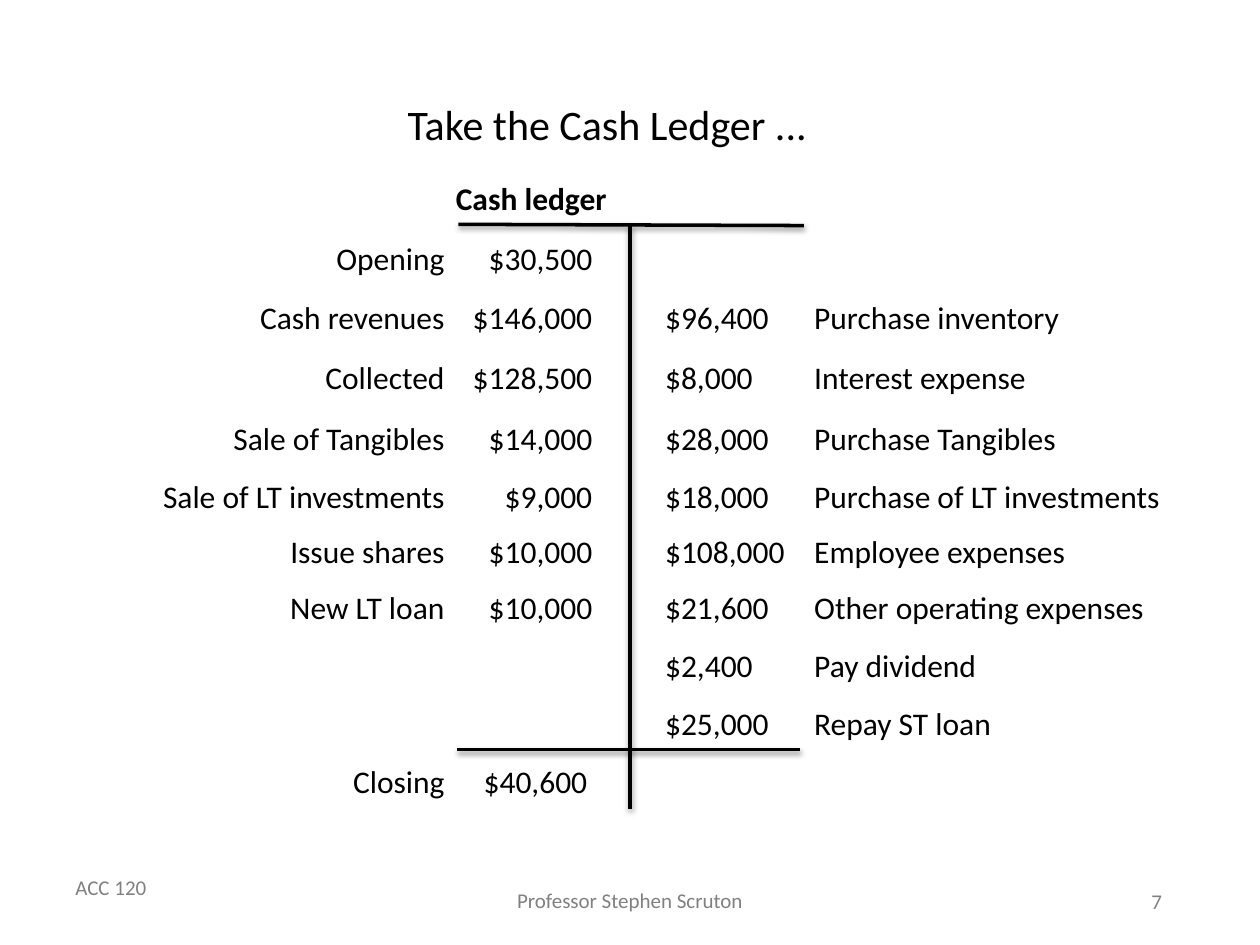
from dataclasses import dataclass

from lxml.etree import fromstring
from pptx import Presentation
from pptx.dml.color import RGBColor
from pptx.enum.shapes import MSO_CONNECTOR as Connector
from pptx.enum.text import MSO_ANCHOR as Anchor, PP_ALIGN as Align
from pptx.util import Pt

TITLE = "Take the Cash Ledger ..."
HEADING = "Cash ledger"

# Row tops; the debit and credit lists follow them from the stated row.
ROW_TOPS = [133, 167, 201, 236, 269, 300.3, 332.3, 365.5, 399, 432]
# Each entry: label, label width, amount.
DEBITS = [
    ("Opening", 77, "$30,500"),
    ("Cash revenues", 121.7, "$146,000"),
    ("Collected", 83.5, "$128,500"),
    ("Sale of Tangibles", 137.8, "$14,000"),
    ("Sale of LT investments", 179.2, "$9,000"),
    ("Issue shares", 104, "$10,000"),
    ("New LT loan", 105, "$10,000"),
]
CREDITS = [
    ("Purchase inventory", 157, "$96,400"),
    ("Interest expense", 137.5, "$8,000"),
    ("Purchase Tangibles", 156.2, "$28,000"),
    ("Purchase of LT investments", 216.7, "$18,000"),
    ("Employee expenses", 160, "$108,000"),
    ("Other operating expenses", 206, "$21,600"),
    ("Pay dividend", 108.7, "$2,400"),
    ("Repay ST loan", 117.4, "$25,000"),
]
CLOSING = ("Closing", 67.7, "$40,600")

# Ledger rules: start x, start y, end x, end y.
RULES = [
    (262, 128.2, 459.4, 128.9),
    (360, 128.9, 360, 462.2),
    (261.4, 428.4, 457.2, 428.4),
]
# Footer: text, left, top, width, height, alignment.
FOOTER = [
    ("ACC 120", 36, 496, 55.4, 21.8, Align.LEFT),
    ("Professor Stephen Scruton", 287.3, 503.2, 145.4, 21.8, Align.CENTER),
    ("7", 503.3, 500.4, 167.8, 28.8, Align.RIGHT),
]
DEBIT_LABEL_RIGHT, DEBIT_RIGHT, CLOSING_RIGHT = 261.2, 345.6, 342.7
CREDIT_LEFT, CREDIT_LABEL_LEFT = 373, 458.2
ROW_HEIGHT = 29


@dataclass(frozen=True)
class Theme:
    """Colours and type sizes of the slide."""
    font: str = "Calibri"
    ink: RGBColor = RGBColor(0, 0, 0)
    muted: RGBColor = RGBColor(0x80, 0x80, 0x80)
    title: int = 24
    body: int = 18
    footer: int = 12
    rule: int = 2


THEME = Theme()
SHADOW = (
    '<a:effectLst xmlns:a="http://schemas.openxmlformats.org/drawingml/2006/main">'
    '<a:outerShdw blurRad="39370" dist="20320" dir="5400000" rotWithShape="0">'
    '<a:srgbClr val="000000"><a:alpha val="38000"/></a:srgbClr>'
    '</a:outerShdw></a:effectLst>'
)


def write(frame, text, size, color=THEME.ink, align=Align.LEFT, bold=False):
    """Fill a text frame with one formatted paragraph."""
    frame.text = text
    paragraph = frame.paragraphs[0]
    paragraph.alignment = align
    font = paragraph.font
    font.name, font.size, font.bold = THEME.font, Pt(size), bold
    font.color.rgb = color


def add_text(slide, text, left, top, width, height=ROW_HEIGHT,
             size=THEME.body, **style):
    """Add a one-line text box and return its frame."""
    box = slide.shapes.add_textbox(Pt(left), Pt(top), Pt(width), Pt(height))
    box.text_frame.word_wrap = False
    write(box.text_frame, text, size, **style)
    return box.text_frame


def amount_width(amount):
    """Width of an amount, which grows evenly with its digits."""
    return 64.8 + 9.3 * (len(amount) - len("$9,000"))


def add_debit(slide, entry, top, amount_right=DEBIT_RIGHT):
    """Add a label and amount, right-aligned, left of the ledger's stem."""
    label, width, amount = entry
    for text, right, span in ((label, DEBIT_LABEL_RIGHT, width),
                              (amount, amount_right, amount_width(amount))):
        add_text(slide, text, right - span, top, span, align=Align.RIGHT)


def add_credit(slide, entry, top):
    """Add an amount and label, left-aligned, right of the ledger's stem."""
    label, width, amount = entry
    add_text(slide, amount, CREDIT_LEFT, top, amount_width(amount))
    add_text(slide, label, CREDIT_LABEL_LEFT, top, width)


def add_rule(slide, ends):
    """Add one shadowed ledger rule."""
    rule = slide.shapes.add_connector(Connector.STRAIGHT, *map(Pt, ends))
    rule.line.color.rgb = THEME.ink
    rule.line.width = Pt(THEME.rule)
    rule._element.spPr.append(fromstring(SHADOW))


def build():
    """Build and save the slide."""
    deck = Presentation()
    deck.slide_width, deck.slide_height = Pt(720), Pt(540)
    slide = deck.slides.add_slide(deck.slide_layouts[0])
    subtitle = slide.placeholders[1]._element
    subtitle.getparent().remove(subtitle)

    title = slide.shapes.title
    title.left, title.top, title.width, title.height = map(Pt, (41, 45.4, 612, 50.4))
    title.text_frame.vertical_anchor = Anchor.MIDDLE
    write(title.text_frame, TITLE, THEME.title, align=Align.CENTER)

    for text, left, top, width, height, align in FOOTER:
        frame = add_text(slide, text, left, top, width, height, THEME.footer,
                         color=THEME.muted, align=align)
        frame.vertical_anchor = Anchor.MIDDLE

    add_text(slide, HEADING, 253.4, 98.8, 101.5, bold=True)
    for entry, top in zip(DEBITS, ROW_TOPS):
        add_debit(slide, entry, top)
    for entry, top in zip(CREDITS, ROW_TOPS[1:]):
        add_credit(slide, entry, top)
    add_debit(slide, CLOSING, ROW_TOPS[-1], CLOSING_RIGHT)
    for ends in RULES:
        add_rule(slide, ends)
    deck.save("out.pptx")


build()
